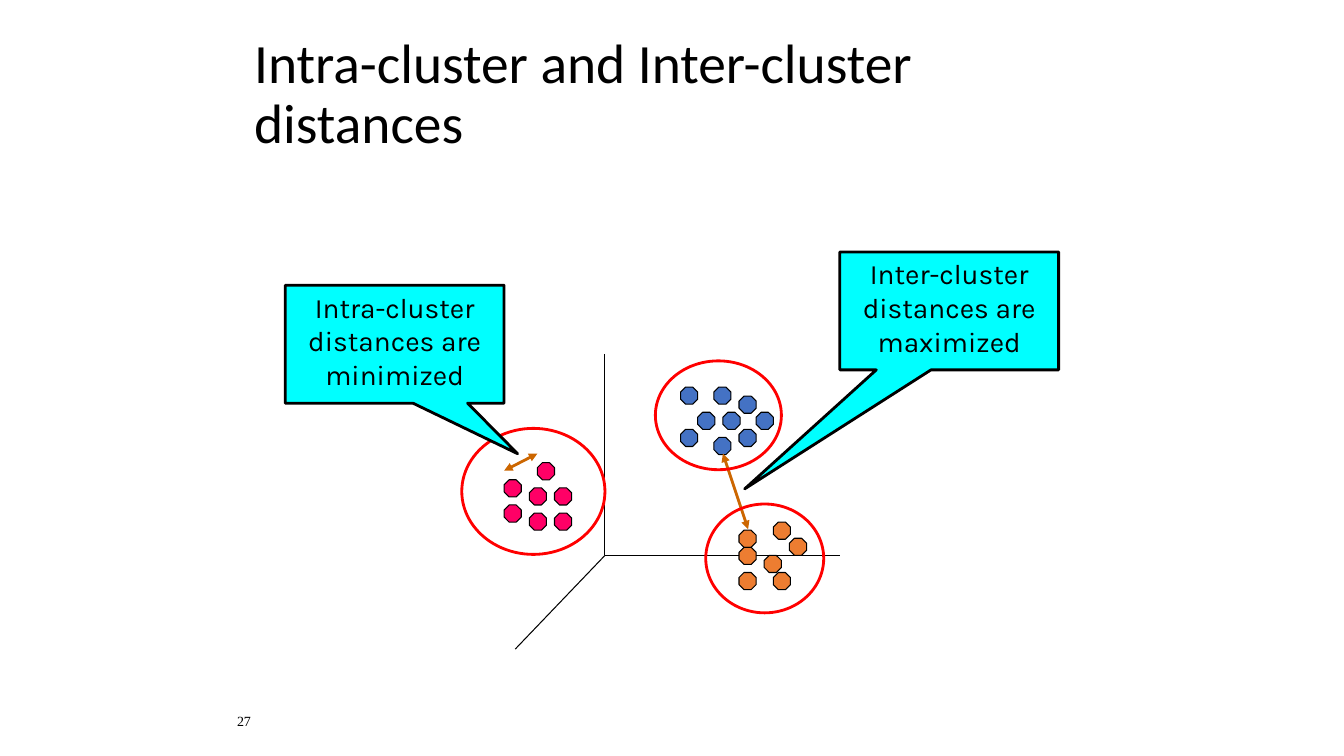
from typing import NamedTuple

from lxml.etree import SubElement
from pptx import Presentation
from pptx.dml.color import RGBColor
from pptx.enum.shapes import MSO_CONNECTOR, MSO_SHAPE
from pptx.enum.text import MSO_ANCHOR, PP_ALIGN
from pptx.oxml.ns import qn
from pptx.util import Inches, Pt

BLACK = "000000"
DOT_SIZE = 0.17
THIN, THICK = 0.75, 2


class Box(NamedTuple):
    left: float
    top: float
    width: float
    height: float


class Cluster(NamedTuple):
    color: str
    ring: Box
    dots: list[tuple[float, float]]


class Line(NamedTuple):
    start: tuple[float, float]
    end: tuple[float, float]


class Callout(NamedTuple):
    text: str
    left: float
    top: float
    pointer: tuple[float, float]


AXES = [
    Line((6, 3.51), (6, 5.51)),
    Line((6, 5.51), (8.33, 5.51)),
    Line((6, 5.51), (5.11, 6.44)),
]
CLUSTERS = [
    Cluster("4472C4", Box(6.5, 3.58, 1.25, 1.08), [
        (6.92, 4.09), (7.17, 4.09), (7.08, 3.84), (7.08, 4.34), (7.5, 4.09),
        (7.33, 3.93), (6.75, 3.84), (7.33, 4.26), (6.75, 4.26)]),
    Cluster("FF0066", Box(4.58, 4.25, 1.42, 1.25), [
        (5, 4.76), (5.25, 4.84), (5.25, 5.09), (5.5, 4.84), (5.33, 4.59),
        (5.5, 5.09), (5, 5.01)]),
    Cluster("ED7D31", Box(7, 5, 1.17, 1.08), [
        (7.33, 5.26), (7.83, 5.34), (7.58, 5.51), (7.33, 5.68), (7.67, 5.68),
        (7.33, 5.43), (7.67, 5.18)]),
]
INTER_ARROW = Line((7.42, 5.25), (7.17, 4.5))
INTRA_ARROW = Line((5, 4.67), (5.33, 4.5))
INTER_CALLOUT = Callout("Inter-cluster distances are maximized", 8.33, 2.5, (-0.935, 1.509))
INTRA_CALLOUT = Callout("Intra-cluster distances are minimized", 2.83, 2.83, (0.562, 0.929))


def rgb(color: str) -> RGBColor:
    return RGBColor.from_string(color)


def place(shape, box: Box) -> None:
    shape.left, shape.top, shape.width, shape.height = map(Inches, box)


def write(shape, text: str, font: str, size: float, align: PP_ALIGN, anchor: MSO_ANCHOR):
    frame = shape.text_frame
    frame.text = text
    frame.word_wrap = True
    frame.vertical_anchor = anchor
    paragraph = frame.paragraphs[0]
    paragraph.alignment = align
    paragraph.font.name = font
    paragraph.font.size = Pt(size)
    paragraph.font.color.rgb = rgb(BLACK)
    return paragraph


def add_outlined(slide, kind: MSO_SHAPE, box: Box, fill: str | None, line: str, weight: float):
    shape = slide.shapes.add_shape(kind, *map(Inches, box))
    shape.shadow.inherit = False
    if fill:
        shape.fill.solid()
        shape.fill.fore_color.rgb = rgb(fill)
    else:
        shape.fill.background()
    shape.line.color.rgb = rgb(line)
    shape.line.width = Pt(weight)
    return shape


def add_line(slide, line: Line, color: str, weight: float, arrows: bool = False) -> None:
    connector = slide.shapes.add_connector(
        MSO_CONNECTOR.STRAIGHT, *map(Inches, line.start + line.end))
    connector.line.color.rgb = rgb(color)
    connector.line.width = Pt(weight)
    if arrows:
        outline = connector.line._get_or_add_ln()
        for end in ("a:headEnd", "a:tailEnd"):
            SubElement(outline, qn(end), type="triangle")
    SubElement(connector._element.spPr, qn("a:effectLst"))


def add_callout(slide, callout: Callout) -> None:
    box = Box(callout.left, callout.top, 2.17, 1.17)
    shape = add_outlined(slide, MSO_SHAPE.RECTANGULAR_CALLOUT, box, "00FFFF", BLACK, THICK)
    shape.adjustments[0], shape.adjustments[1] = callout.pointer
    write(shape, callout.text, "Karla", 20, PP_ALIGN.CENTER, MSO_ANCHOR.TOP)


def main() -> None:
    presentation = Presentation()
    presentation.slide_width = Inches(13.33)
    presentation.slide_height = Inches(7.5)
    slide = presentation.slides.add_slide(presentation.slide_layouts[5])

    title = slide.shapes.title
    place(title, Box(2.42, 0.66, 8.33, 0.58))
    heading = write(title, "Intra-cluster and Inter-cluster distances", "Calibri", 39.6,
                    PP_ALIGN.LEFT, MSO_ANCHOR.MIDDLE)
    heading.line_spacing = 0.9

    number = slide.shapes.add_textbox(*map(Inches, Box(0.92, 6.95, 3, 0.4)))
    write(number, "27", "Times New Roman", 10, PP_ALIGN.CENTER, MSO_ANCHOR.MIDDLE)

    for axis in AXES:
        add_line(slide, axis, BLACK, THIN)
    for cluster in CLUSTERS:
        for left, top in cluster.dots:
            box = Box(left, top, DOT_SIZE, DOT_SIZE)
            add_outlined(slide, MSO_SHAPE.OCTAGON, box, cluster.color, BLACK, THIN)

    add_line(slide, INTER_ARROW, "CC6600", THICK, arrows=True)
    add_callout(slide, INTER_CALLOUT)
    for cluster in CLUSTERS:
        add_outlined(slide, MSO_SHAPE.OVAL, cluster.ring, None, "FF0000", THICK)
    add_line(slide, INTRA_ARROW, "CC6600", THICK, arrows=True)
    add_callout(slide, INTRA_CALLOUT)

    presentation.save("out.pptx")


if __name__ == "__main__":
    main()
